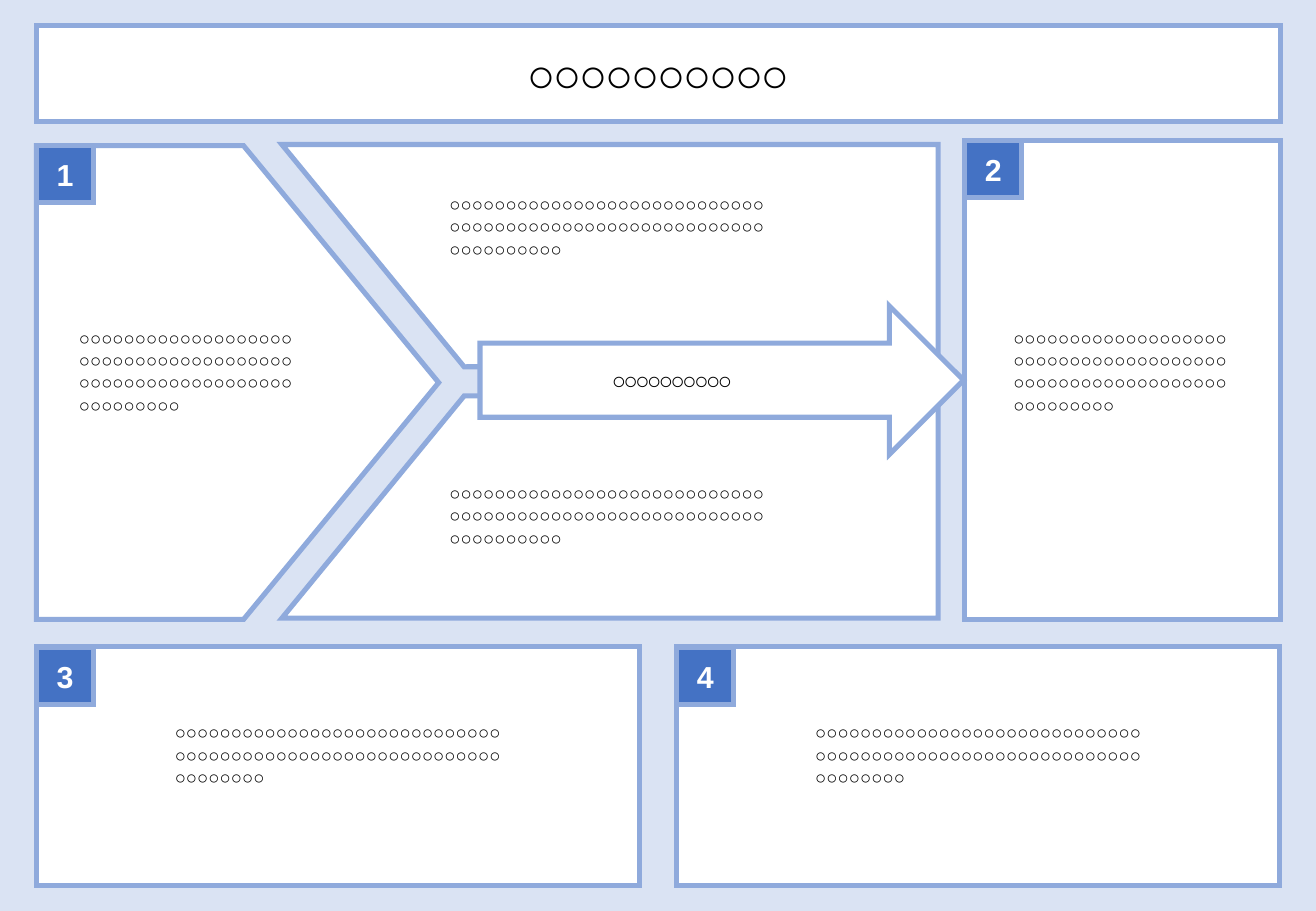
from lxml.etree import SubElement
from pptx import Presentation
from pptx.dml.color import RGBColor
from pptx.enum.shapes import MSO_SHAPE as SHAPE
from pptx.enum.text import MSO_ANCHOR as ANCHOR, MSO_AUTO_SIZE as FIT, PP_ALIGN as ALIGN
from pptx.oxml.ns import qn
from pptx.util import Pt

PX = 9144  # 100 px to the inch
FONT = "Arial"
WHITE, BLACK, PALE, EDGE, BLUE = "FFFFFF", "000000", "DAE3F3", "8FAADC", "4472C4"
TITLE = "○" * 10
BODY = "○" * 66


def paint(fill, color):
    fill.solid()
    fill.fore_color.rgb = RGBColor.from_string(color)


def emu(*sizes):
    return [size * PX for size in sizes]


def outline(shape, color):
    """Fill the shape and give it the sharp-cornered border."""
    shape.shadow.inherit = False
    paint(shape.fill, color)
    paint(shape.line.fill, EDGE)
    shape.line.width = Pt(3)
    SubElement(shape.line._get_or_add_ln(), qn("a:miter"), lim="800000")


def write(frame, text, size, align, color=BLACK, bold=False, tight=False):
    frame.text = text
    para = frame.paragraphs[0]
    para.alignment = align
    run = para.runs[0]
    font = run.font
    font.name, font.size, font.bold = FONT, Pt(size), bold
    paint(font.fill, color)
    props = run._r.get_or_add_rPr()
    SubElement(props, qn("a:ea"), typeface=FONT)
    if tight:
        props.set("spc", "-150")


def panel(slide, kind, box, color=WHITE):
    shape = slide.shapes.add_shape(kind, *emu(*box))
    outline(shape, color)
    return shape


def wing(slide, points):
    """Draw a slanted half of the middle field."""
    pen = slide.shapes.build_freeform(*points[0], scale=PX)
    pen.add_line_segments(points[1:], close=True)
    outline(pen.convert_to_shape(), WHITE)


def badge(slide, left, top, number):
    frame = panel(slide, SHAPE.RECTANGLE, (left, top, 47, 47), BLUE).text_frame
    frame.vertical_anchor = ANCHOR.MIDDLE
    write(frame, str(number), 18, ALIGN.CENTER, WHITE, bold=True)


def label(slide, box, text, size, align=ALIGN.CENTER, **style):
    frame = slide.shapes.add_textbox(*emu(*box)).text_frame
    frame.word_wrap = True
    frame.auto_size = FIT.SHAPE_TO_FIT_TEXT
    write(frame, text, size, align, **style)


def main():
    deck = Presentation()
    deck.slide_width, deck.slide_height = emu(1083, 750)
    slide = deck.slides.add_slide(deck.slide_layouts[6])
    paint(slide.background.fill, PALE)

    panel(slide, SHAPE.RECTANGLE, (30, 21, 1024, 79))
    wing(slide, [(232, 509), (382, 326), (772, 327), (772, 509)])
    for box in [(30, 532, 496, 197), (557, 532, 496, 197), (794, 116, 260, 394)]:
        panel(slide, SHAPE.RECTANGLE, box)
    plate = panel(slide, SHAPE.PENTAGON, (30, 120, 331, 390))
    plate.adjustments[0] = 0.485
    wing(slide, [(232, 119), (382, 302), (772, 301), (772, 119)])
    panel(slide, SHAPE.RIGHT_ARROW, (395, 252, 398, 122))

    label(slide, (154, 32, 775, 57), TITLE, 28, bold=True, tight=True)
    corners = [(30, 120), (794, 116), (30, 533), (557, 533)]
    for number, (left, top) in enumerate(corners, 1):
        badge(slide, left, top, number)
    notes = [
        (55, 264, 199, 121), (824, 264, 199, 121),
        (360, 154, 285, 84), (360, 392, 285, 84),
        (134, 589, 290, 84), (661, 589, 290, 84),
    ]
    for box in notes:
        label(slide, box, BODY, 11, ALIGN.JUSTIFY)
    label(slide, (422, 296, 262, 34), TITLE, 14, tight=True)

    deck.save("out.pptx")


if __name__ == "__main__":
    main()
